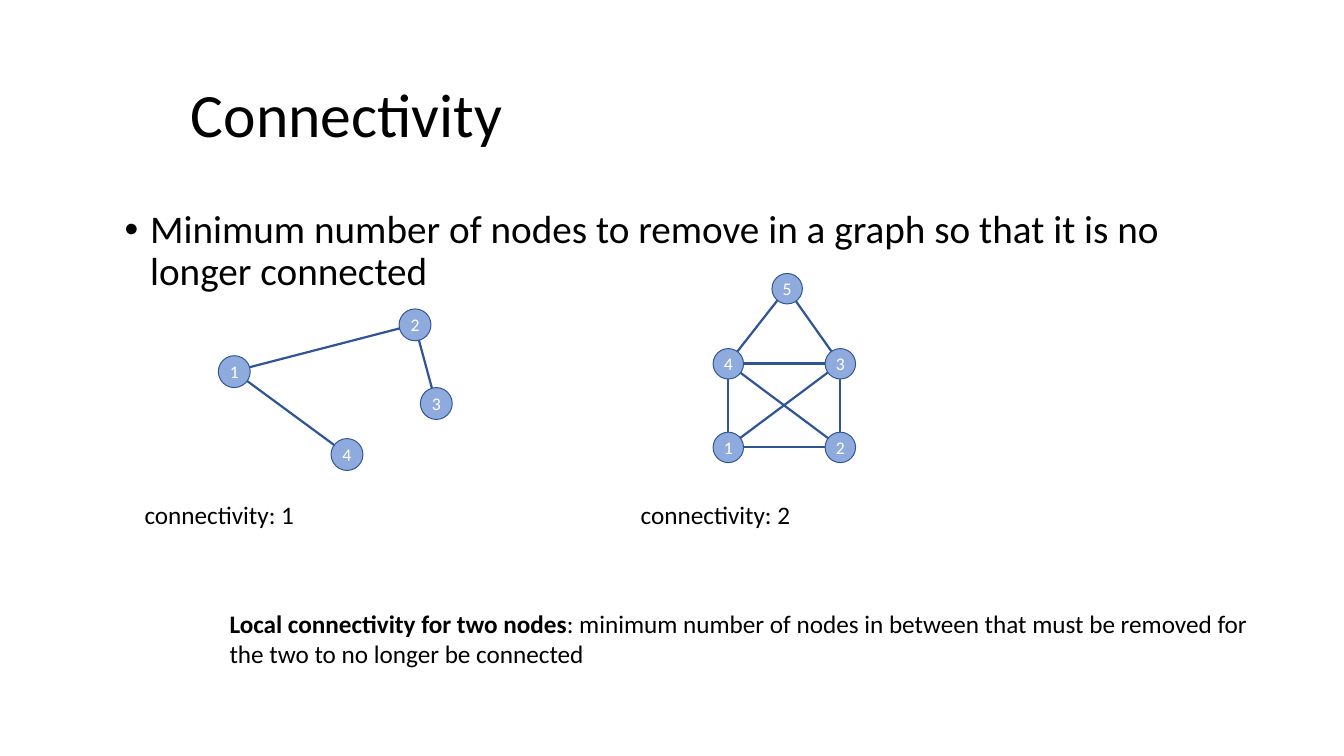
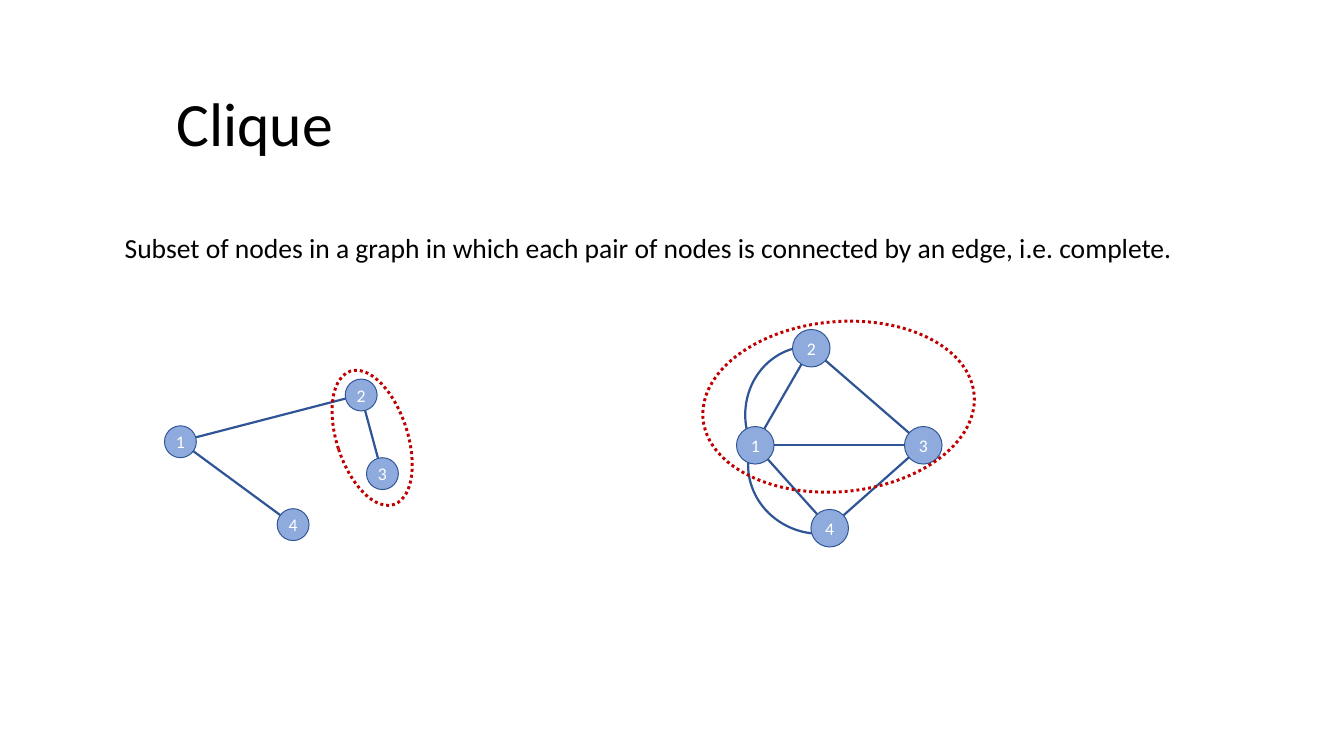
from lxml import etree
from pptx import Presentation
from pptx.dml.color import RGBColor
from pptx.enum.dml import MSO_LINE
from pptx.enum.shapes import MSO_CONNECTOR, MSO_SHAPE
from pptx.enum.text import MSO_ANCHOR, MSO_AUTO_SIZE, PP_ALIGN
from pptx.oxml.ns import qn
from pptx.util import Pt

PX = 9144  # EMU in one px, 100 px to the inch
FONT = "Calibri"
BLACK = RGBColor(0x00, 0x00, 0x00)
WHITE = RGBColor(0xFF, 0xFF, 0xFF)
NODE_BLUE = RGBColor(0x8F, 0xAA, 0xDC)
EDGE_BLUE = RGBColor(0x2F, 0x55, 0x97)
CLIQUE_RED = RGBColor(0xC0, 0x00, 0x00)
TITLE_SIZE = 62.6
NODE_TEXT_SIZE = 18
CAPTION_SIZE = 25.6
INDENT = 36

# Node places are relative to the top left corner of their graph.
TREE_NODES = {"1": (0, 66), "2": (255, 0), "4": (159, 183), "3": (285, 111)}
TREE_EDGES = ["14", "12", "23"]
HOUSE_NODES = {"5": (83, 0), "4": (0, 106), "3": (158, 106),
               "1": (0, 224), "2": (158, 224)}
HOUSE_EDGES = ["45", "35", "43", "12", "23", "14", "42", "13"]
KITE_NODES = {"4": (105, 254), "1": (0, 137), "3": (237, 137), "2": (79, 0)}
KITE_EDGES = ["23", "21", "31", "41", "34"]


def scaled(*lengths):
    return [length * PX for length in lengths]


def add_span(para, text, size, color=BLACK, bold=False):
    span = para.add_run()
    span.text = text
    span.font.name = FONT
    span.font.size = Pt(size)
    span.font.color.rgb = color
    span.font.bold = bold


def add_page(deck, title, *place):
    page = deck.slides.add_slide(deck.slide_layouts[5])
    box = page.shapes.title
    box.left, box.top, box.width, box.height = scaled(*place)
    frame = box.text_frame
    frame.auto_size = MSO_AUTO_SIZE.NONE
    frame.vertical_anchor = MSO_ANCHOR.MIDDLE
    para = frame.paragraphs[0]
    para.alignment = PP_ALIGN.LEFT
    para.line_spacing = 0.9
    add_span(para, title, TITLE_SIZE)
    return page


def add_text(page, place, text, size, bold_lead="", line_spacing=1.0):
    """Add a one-paragraph text box and return its paragraph."""
    frame = page.shapes.add_textbox(*scaled(*place)).text_frame
    frame.word_wrap = True
    para = frame.paragraphs[0]
    para.line_spacing = line_spacing
    if bold_lead:
        add_span(para, bold_lead, size, bold=True)
    add_span(para, text, size)
    return para


def add_bullet(para):
    props = para._p.get_or_add_pPr()
    props.set("marL", str(INDENT * PX))
    props.set("indent", str(-INDENT * PX))
    etree.SubElement(props, qn("a:buFont")).set("typeface", "Arial")
    etree.SubElement(props, qn("a:buChar")).set("char", "•")


def add_outline(parent, kind, place, color, width, rotation=0):
    """Add an unfilled, possibly rotated, preset shape."""
    shape = parent.shapes.add_shape(kind, *scaled(*place))
    shape.shadow.inherit = False
    shape.fill.background()
    shape.line.color.rgb = color
    shape.line.width = Pt(width)
    shape.rotation = rotation
    return shape


def add_arc(group, place, rotation):
    return add_outline(group, MSO_SHAPE.ARC, place, EDGE_BLUE, 2.25, rotation)


def add_clique(page, place, rotation):
    ring = add_outline(page, MSO_SHAPE.OVAL, place, CLIQUE_RED, 3, rotation)
    ring.line.dash_style = MSO_LINE.ROUND_DOT


def add_edge(group, start, end):
    edge = group.shapes.add_connector(MSO_CONNECTOR.STRAIGHT,
                                      *scaled(*start, *end))
    edge.line.color.rgb = EDGE_BLUE
    edge.line.width = Pt(2.25)
    etree.SubElement(edge._element.spPr, qn("a:effectLst"))


def add_node(group, label, left, top, size):
    node = add_outline(group, MSO_SHAPE.OVAL, (left, top, size, size),
                       EDGE_BLUE, 1)
    node.fill.solid()
    node.fill.fore_color.rgb = NODE_BLUE
    frame = node.text_frame
    frame.margin_left = frame.margin_right = 0
    frame.margin_top = frame.margin_bottom = 0
    frame.vertical_anchor = MSO_ANCHOR.MIDDLE
    para = frame.paragraphs[0]
    para.alignment = PP_ALIGN.CENTER
    add_span(para, label, NODE_TEXT_SIZE, WHITE)


def add_graph(page, left, top, nodes, edges, size):
    """Draw edges between node centres, then the nodes over them."""
    group = page.shapes.add_group_shape()
    corners = {label: (left + x, top + y) for label, (x, y) in nodes.items()}
    centres = {label: (x + size // 2, y + size // 2)
               for label, (x, y) in corners.items()}
    for start, end in edges:
        add_edge(group, centres[start], centres[end])
    for label, corner in corners.items():
        add_node(group, label, *corner, size)


def add_kite_arcs(page):
    group = page.shapes.add_group_shape()
    add_arc(group, (1046, 494, 198, 187), 258.9)
    lower = add_arc(group, (1055, 566, 198, 187), 195.5)
    lower.adjustments[0] = 153.54


def build_connectivity(deck):
    page = add_page(deck, "Connectivity", 259, 63, 1507, 206)
    para = add_text(page, (166, 291, 1564, 141),
                    "Minimum number of nodes to remove in a graph so that "
                    "it is no longer connected", 39.8, line_spacing=0.9)
    add_bullet(para)
    add_graph(page, 308, 436, TREE_NODES, TREE_EDGES, 45)
    add_graph(page, 1006, 386, HOUSE_NODES, HOUSE_EDGES, 43)
    for left, value in ((194, 1), (894, 2)):
        add_text(page, (left, 700, 242, 53), f"connectivity: {value}",
                 CAPTION_SIZE)
    add_text(page, (314, 854, 1472, 96),
             ": minimum number of nodes in between that must be removed for "
             "the two to no longer be connected", CAPTION_SIZE,
             bold_lead="Local connectivity for two nodes")


def build_clique(deck):
    page = add_page(deck, "Clique", 239, 96, 1564, 165)
    add_text(page, (166, 327, 1564, 123),
             "Subset of nodes in a graph in which each pair of nodes is "
             "connected by an edge, i.e. complete.", 28, line_spacing=0.9)
    add_graph(page, 232, 535, TREE_NODES, TREE_EDGES, 45)
    add_clique(page, (475, 519, 100, 198), 342)
    add_kite_arcs(page)
    add_graph(page, 1039, 465, KITE_NODES, KITE_EDGES, 53)
    add_clique(page, (991, 454, 384, 240), 354.9)


def main():
    deck = Presentation()
    deck.slide_width, deck.slide_height = scaled(1896, 1067)
    build_connectivity(deck)
    build_clique(deck)
    deck.save("out.pptx")


if __name__ == "__main__":
    main()
